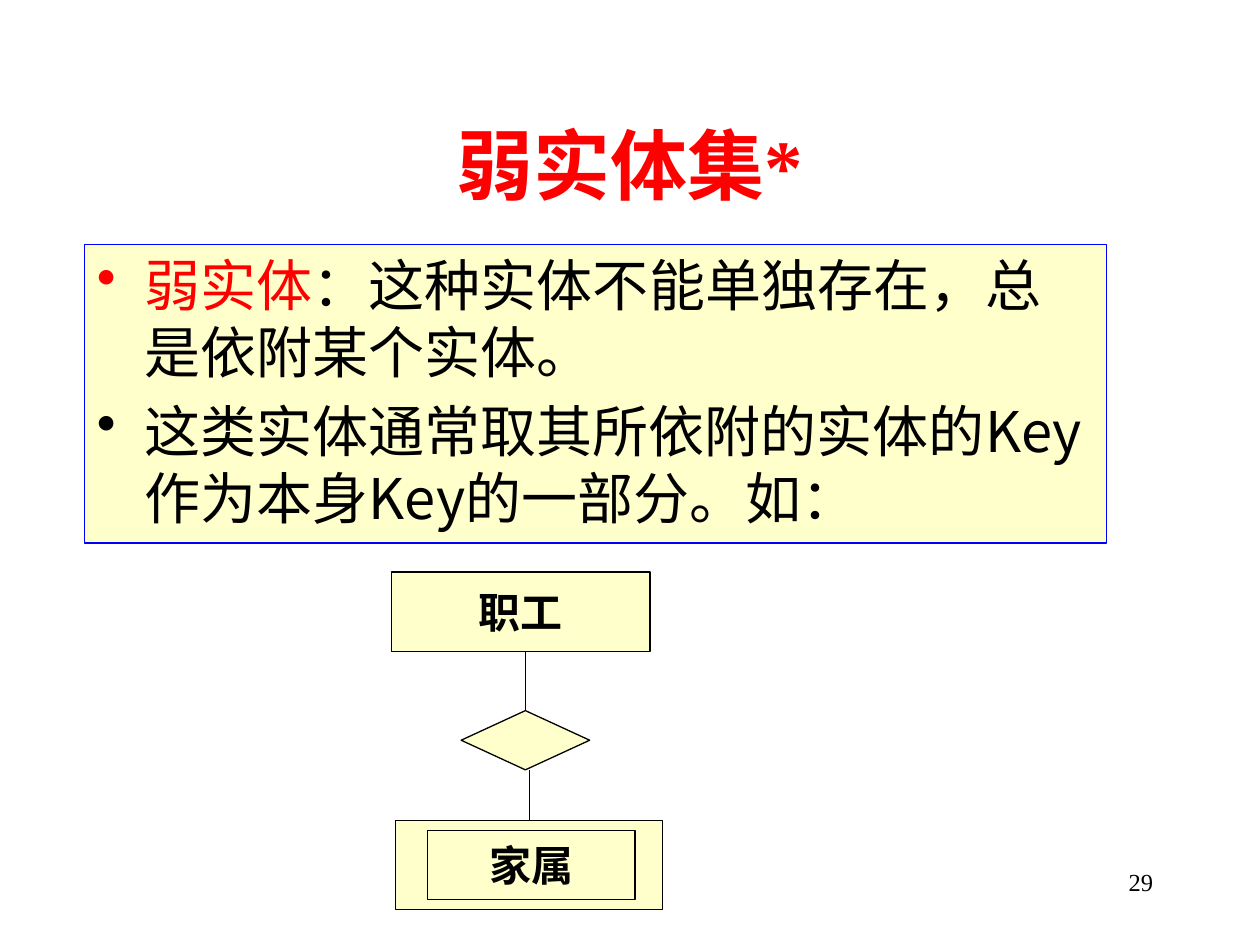
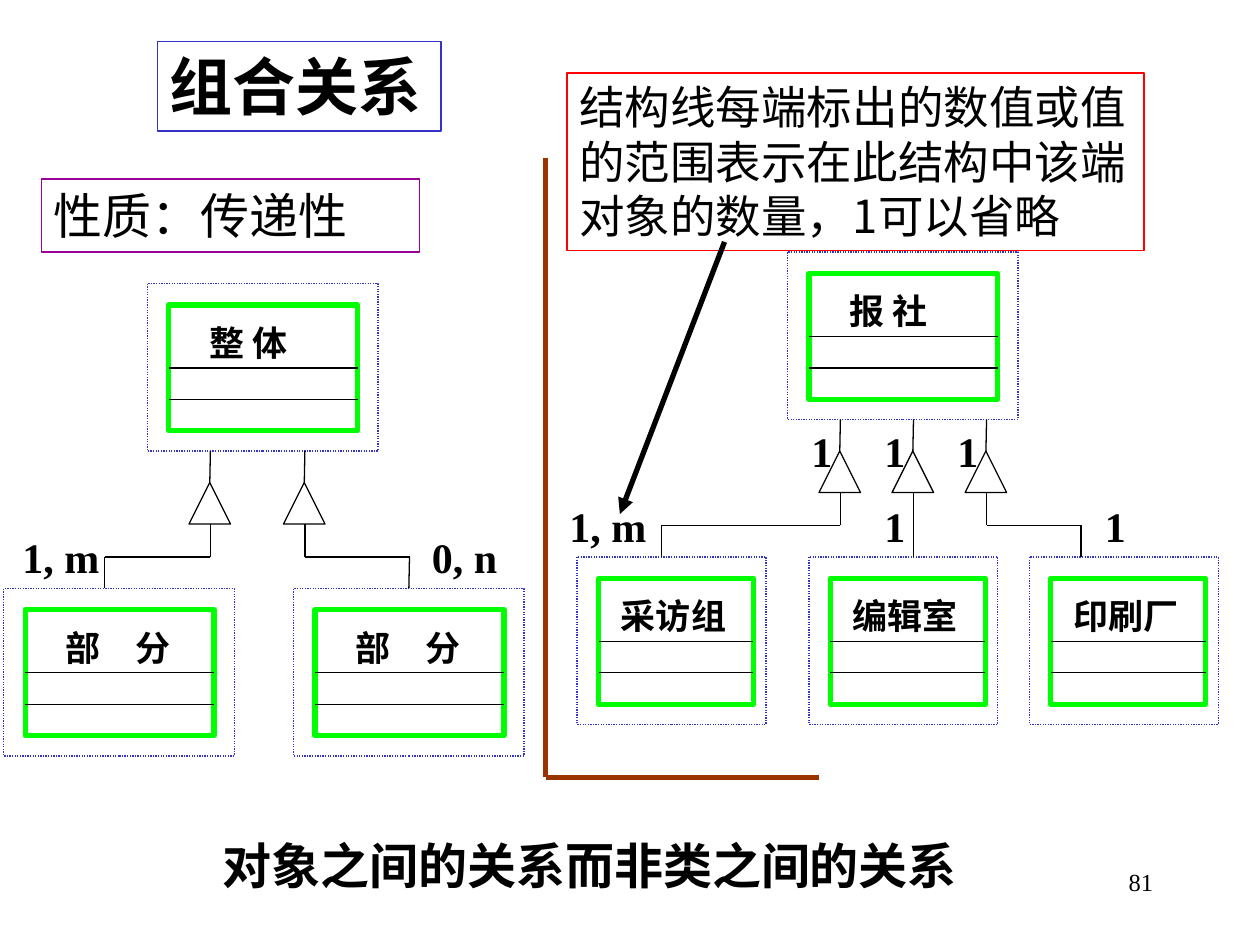
import pptx
import pptx.util
import pptx.dml.color
import pptx.enum.dml
import pptx.enum.shapes
import pptx.enum.text
import pptx.oxml
import pptx.oxml.ns

Inches = pptx.util.Inches
RGBColor = pptx.dml.color.RGBColor
MSO_SHAPE = pptx.enum.shapes.MSO_SHAPE
PP_ALIGN = pptx.enum.text.PP_ALIGN
MSO_ANCHOR = pptx.enum.text.MSO_ANCHOR

BLACK = RGBColor(0x00, 0x00, 0x00)
RED = RGBColor(0xFF, 0x00, 0x00)
BLUE = RGBColor(0x00, 0x00, 0xFF)
INDIGO = RGBColor(0x33, 0x33, 0xCC)
GREEN = RGBColor(0x00, 0xFF, 0x00)
BROWN = RGBColor(0x99, 0x33, 0x00)
PURPLE = RGBColor(0x99, 0x00, 0x99)
CREAM = RGBColor(0xFF, 0xFF, 0xCC)

SERIF = "Times New Roman"
SANS_SC = "Noto Sans CJK SC"
SANS_JP = "Noto Sans CJK JP"


class Deck:
    """Holds the shared style and the slide being drawn."""

    def __init__(self):
        self.prs = pptx.Presentation()
        self.prs.slide_width, self.prs.slide_height = Inches(10), Inches(7.5)
        self.s = None

    def slide(self, number):
        self.s = self.prs.slides.add_slide(self.prs.slide_layouts[6])
        self.text(7.17, 6.83, 2.08, 0.5, str(number), size=14, align=PP_ALIGN.RIGHT)

    def run(self, p, text, size, bold=False, font=SERIF, color=BLACK):
        r = p.add_run()
        r.text = text
        style = {"name": font, "size": pptx.util.Pt(size), "bold": bold}
        for key, value in style.items():
            setattr(r.font, key, value)
        r.font.color.rgb = color
        ea = pptx.oxml.parse_xml(
            f'<a:ea {pptx.oxml.ns.nsdecls("a")} typeface="{SANS_SC if font == SERIF else font}"/>')
        r.font._element.find(pptx.oxml.ns.qn("a:latin")).addnext(ea)

    def fill_text(self, sp, text, align=PP_ALIGN.LEFT, anchor=MSO_ANCHOR.TOP,
                  wrap=True, indent=0, **style):
        tf = sp.text_frame
        frame = {"word_wrap": wrap, "vertical_anchor": anchor,
                 "margin_left": Inches(0.1 + indent)}
        for key, value in frame.items():
            setattr(tf, key, value)
        p = tf.paragraphs[0]
        p.alignment = align
        self.run(p, text, **style)

    def text(self, x, y, w, h, text, **style):
        sp = self.s.shapes.add_textbox(*[Inches(v) for v in (x, y, w, h)])
        self.fill_text(sp, text, **style)

    def shape(self, x, y, w, h, kind=MSO_SHAPE.RECTANGLE, fill=None,
              line=BLACK, width=0.75, dash=None):
        sp = self.s.shapes.add_shape(kind, *[Inches(v) for v in (x, y, w, h)])
        sp.shadow.inherit = False
        if fill is None:
            sp.fill.background()
        else:
            sp.fill.solid()
            sp.fill.fore_color.rgb = fill
        sp.line.color.rgb = line
        pen = {"width": pptx.util.Pt(width), "dash_style": dash}
        for key, value in pen.items():
            setattr(sp.line, key, value)
        return sp

    def line(self, x1, y1, x2, y2, color=BLACK, width=0.75, arrow=False):
        c = self.s.shapes.add_connector(pptx.enum.shapes.MSO_CONNECTOR.STRAIGHT,
                                        *[Inches(v) for v in (x1, y1, x2, y2)])
        c.line.color.rgb = color
        c.line.width = pptx.util.Pt(width)
        ns = pptx.oxml.ns.nsdecls("a")
        if arrow:
            c.line._get_or_add_ln().append(
                pptx.oxml.parse_xml(f'<a:tailEnd {ns} type="triangle"/>'))
        c._element.spPr.append(pptx.oxml.parse_xml(f"<a:effectLst {ns}/>"))
        return c

    def bullets(self, sp, paragraphs, size):
        tf = sp.text_frame
        tf.word_wrap = True
        tf.vertical_anchor = MSO_ANCHOR.TOP
        for i, runs in enumerate(paragraphs):
            p = tf.add_paragraph() if i else tf.paragraphs[0]
            p.alignment = PP_ALIGN.LEFT
            pPr = p._p.get_or_add_pPr()
            pPr.set("marL", str(Inches(0.38)))
            pPr.set("indent", str(Inches(-0.38)))
            pPr.append(pptx.oxml.parse_xml(
                f'<a:buChar {pptx.oxml.ns.nsdecls("a")} char="•"/>'))
            if i:
                p.space_before = pptx.util.Pt(0.2 * size)
            for text, color in runs:
                self.run(p, text, size, font=SANS_SC, color=color)

    def entity(self, x, y, w, h, label):
        sp = self.shape(x, y, w, h, fill=CREAM)
        self.fill_text(sp, label, size=24, bold=True, align=PP_ALIGN.CENTER,
                       anchor=MSO_ANCHOR.MIDDLE, wrap=False)

    def class_box(self, x, y, w, inner_w, label, indent=0):
        """Dotted object frame around a class symbol with three compartments."""
        left = x + 0.17
        self.shape(left, y + 0.17, inner_w, 1, line=GREEN, width=3)
        self.text(x + 0.25, y + 0.25, inner_w - 0.1, 0.43, label,
                  size=20, bold=True, indent=indent)
        for dy in (0.67, 0.92):
            self.line(left, y + dy, left + inner_w, y + dy)
        return self.shape(x, y, w, 1.33, line=INDIGO,
                          dash=pptx.enum.dml.MSO_LINE.ROUND_DOT)

    def part_link(self, x, y, part_x, part=None):
        """Triangle link from the whole's bottom edge at (x, y) down to a part."""
        bend, end = y + 0.84, y + 1.09
        tri = self.shape(x - 0.17, y + 0.25, 0.33, 0.33, MSO_SHAPE.ISOSCELES_TRIANGLE)
        self.line(x, y, x, y + 0.25).end_connect(tri, 0)
        self.line(x, y + 0.58, x, bend)
        if part_x != x:
            self.line(x, bend, part_x, bend)
        drop = self.line(part_x, bend, part_x, end)
        if part is not None:
            drop.end_connect(part, 0)


def weak_entity_slide(d):
    d.slide(29)
    d.text(0.75, 0.67, 8.5, 1.25, "弱实体集*", size=44, bold=True, color=RED,
           align=PP_ALIGN.CENTER, anchor=MSO_ANCHOR.MIDDLE)
    body = d.shape(0.67, 1.94, 8.11, 2.37, fill=CREAM, line=BLUE)
    d.bullets(body, [
        [("弱实体", RED), ("：这种实体不能单独存在，总是依附某个实体。", BLACK)],
        [("这类实体通常取其所依附的实体的Key作为本身Key的一部分。如：", BLACK)],
    ], size=32)

    # Entity diagram
    d.entity(3.11, 4.54, 2.05, 0.63, "职工")
    weak = d.shape(3.14, 6.51, 2.12, 0.71, fill=CREAM)
    d.entity(3.39, 6.59, 1.65, 0.55, "家属")
    relation = d.shape(3.66, 5.64, 1.02, 0.47, MSO_SHAPE.FLOWCHART_DECISION, fill=CREAM)
    d.line(4.17, 5.17, 4.17, 5.64).end_connect(relation, 0)
    d.line(4.2, 6.11, 4.2, 6.51).end_connect(weak, 0)


def composition_slide(d):
    d.slide(81)
    # Headings
    sp = d.shape(1.25, 0.33, 2.25, 0.71, line=INDIGO)
    d.fill_text(sp, "组合关系", size=36, bold=True)
    sp = d.shape(0.33, 1.42, 3, 0.58, line=PURPLE)
    d.fill_text(sp, "性质：传递性", size=28)
    d.text(1.67, 6.58, 6.33, 0.57, "对象之间的关系而非类之间的关系", size=28, bold=True)

    # Divider
    d.line(4.33, 1.25, 4.33, 6.17, BROWN, 3)
    d.line(4.33, 6.17, 6.5, 6.17, BROWN, 3)

    # General structure
    d.class_box(1.17, 2.25, 1.83, 1.5, "整 体", indent=0.14)
    parts = [d.class_box(x, 4.67, 1.83, 1.5, "部　分", indent=0.14)
             for x in (0.03, 2.33)]
    d.part_link(1.67, 3.58, 0.83)
    d.part_link(2.42, 3.58, 3.25, parts[1])

    # Newspaper example
    d.class_box(6.25, 2, 1.83, 1.5, "报 社", indent=0.14)
    for x, label in ((4.58, "采访组"), (6.42, "编辑室"), (8.17, "印刷厂")):
        d.class_box(x, 4.42, 1.5, 1.23, label)
    for x, part_x in ((6.67, 5.25), (7.25, 7.25), (7.83, 8.58)):
        d.part_link(x, 3.33, part_x)
        d.text(x - 0.33, 3.33, 0.42, 0.5, "1", size=24, bold=True)

    # Multiplicities at the parts
    for x, y, w, label in ((0.08, 4.17, 0.92, "1, m"), (3.33, 4.17, 0.92, "0, n"),
                           (4.42, 3.92, 0.92, "1, m"), (6.92, 3.92, 0.42, "1"),
                           (8.67, 3.92, 0.42, "1")):
        d.text(x, y, w, 0.5, label, size=24, bold=True)

    # Explanation of the multiplicities
    sp = d.shape(4.5, 0.58, 4.58, 1.41, line=RED)
    d.fill_text(sp, "结构线每端标出的数值或值的范围表示在此结构中该端对象的数量，1可以省略",
                size=26, font=SANS_JP)
    d.line(5.75, 1.92, 4.92, 4.08, width=3, arrow=True)


def main():
    d = Deck()
    weak_entity_slide(d)
    composition_slide(d)
    d.prs.save("out.pptx")


if __name__ == "__main__":
    main()
